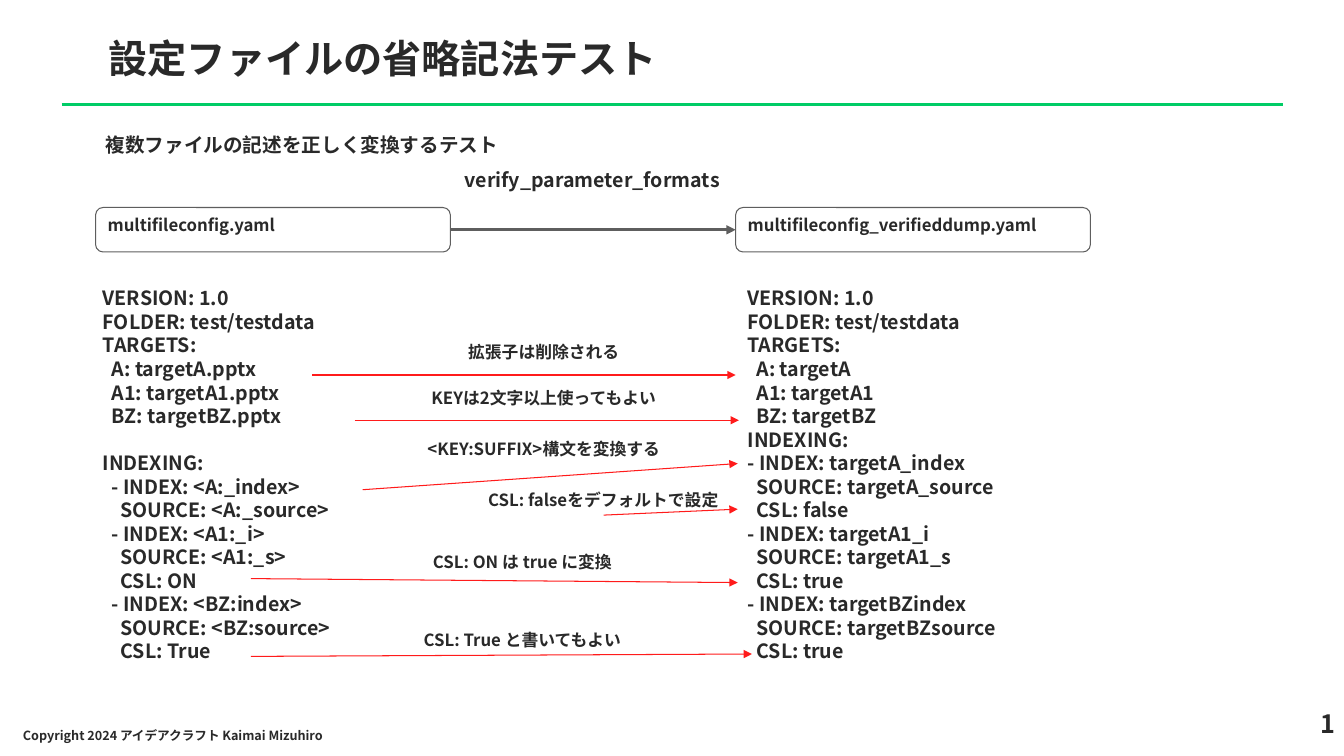
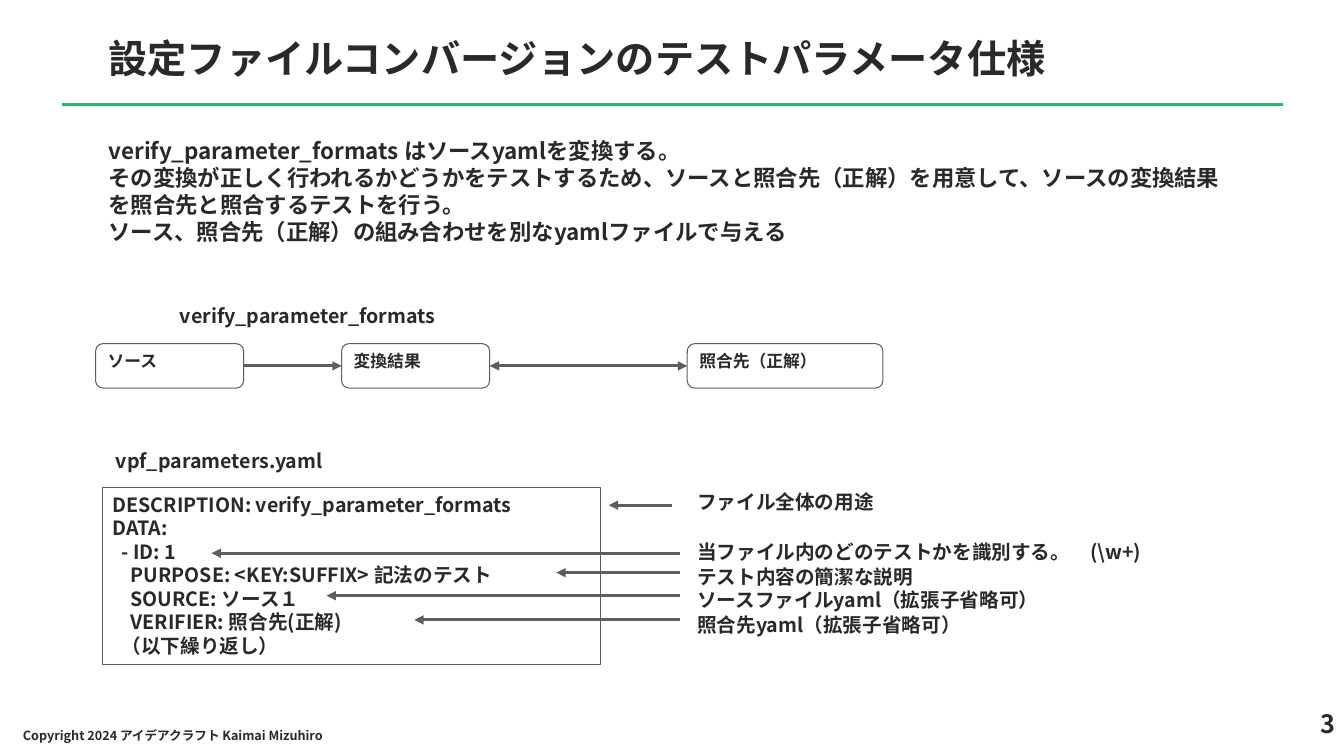
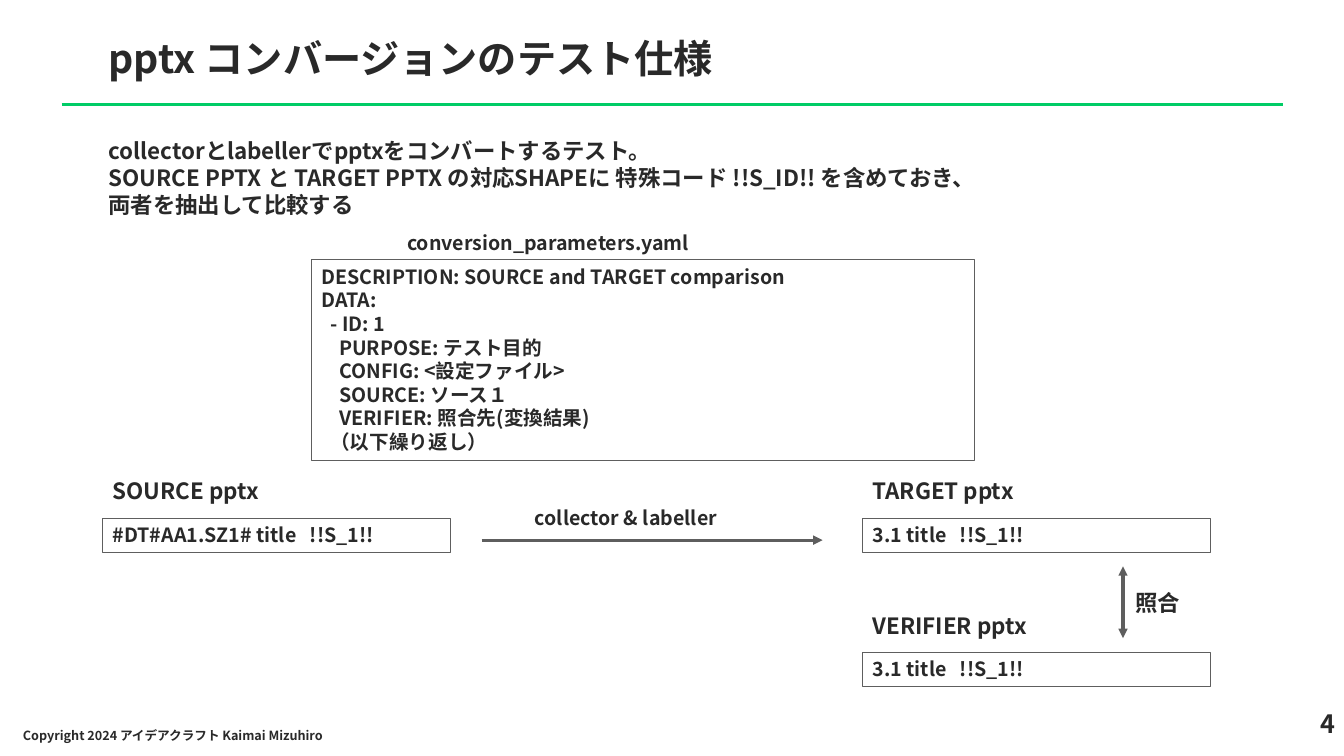
from dataclasses import dataclass

from lxml import etree
from pptx import Presentation
from pptx.dml.color import RGBColor
from pptx.enum.shapes import MSO_CONNECTOR, MSO_SHAPE
from pptx.enum.text import MSO_ANCHOR, PP_ALIGN
from pptx.oxml.ns import qn
from pptx.util import Cm, Pt

STRAIGHT = MSO_CONNECTOR.STRAIGHT
RECTANGLE = MSO_SHAPE.RECTANGLE
ROUNDED = MSO_SHAPE.ROUNDED_RECTANGLE
TOP = MSO_ANCHOR.TOP
LEFT, CENTER, RIGHT = PP_ALIGN.LEFT, PP_ALIGN.CENTER, PP_ALIGN.RIGHT
LEFT_SIDE, RIGHT_SIDE = 1, 3

FONT = "Noto Sans CJK JP"
INK, GRAY, GREEN, RED, WHITE = "292929", "5E5E5E", "00CC66", "FF1B1B", "FFFFFF"
LINE_PITCH = 1.2
THICK, THIN = 2.25, 0.75
LABEL_HEIGHT = 0.86
HEADING_HEIGHT = 0.94
FILE_HEIGHT = 1.12
COPYRIGHT = "Copyright 2024 アイデアクラフト Kaimai Mizuhiro"


@dataclass(frozen=True)
class Area:
    left: float
    top: float
    width: float
    height: float = LABEL_HEIGHT

    def lengths(self):
        return Cm(self.left), Cm(self.top), Cm(self.width), Cm(self.height)


@dataclass(frozen=True)
class Arrow:
    x1: float
    y1: float
    x2: float
    y2: float
    color: str = GRAY
    weight: float = THICK
    start_head: bool = False
    end_head: bool = True


@dataclass(frozen=True)
class Note:
    text: str
    left: float
    top: float
    arrow: Arrow


def color_of(value: str) -> RGBColor:
    return RGBColor.from_string(value)


def write(shape, text: str, size: float, align=LEFT, wrap: bool = True):
    frame = shape.text_frame
    frame.word_wrap = wrap
    frame.vertical_anchor = TOP
    gap = 0
    first = True
    for line in text.split("\n"):
        if not line:
            gap += size * LINE_PITCH
            continue
        para = frame.paragraphs[0] if first else frame.add_paragraph()
        para.text = line
        para.alignment = align
        para.line_spacing = Pt(size * LINE_PITCH)
        if gap:
            para.space_before = Pt(gap)
        font = para.font
        font.name = FONT
        font.size = Pt(size)
        font.bold = True
        font.color.rgb = color_of(INK)
        defaults = para._p.get_or_add_pPr().find(qn("a:defRPr"))
        etree.SubElement(defaults, qn("a:ea")).set("typeface", FONT)
        first = False
        gap = 0


def add_text(page, area: Area, text: str, size: float = 14, align=LEFT):
    box = page.shapes.add_textbox(*area.lengths())
    write(box, text, size, align)


def add_frame(page, area: Area, text: str, kind=RECTANGLE):
    box = page.shapes.add_shape(kind, *area.lengths())
    box.shadow.inherit = False
    box.line.color.rgb = color_of(GRAY)
    box.line.width = Pt(THIN)
    if kind == ROUNDED:
        box.fill.solid()
        box.fill.fore_color.rgb = color_of(WHITE)
        write(box, text, 12, wrap=False)
    else:
        box.fill.background()
        write(box, text, 14)
    return box


def add_arrow(page, arrow: Arrow):
    ends = (Cm(value) for value in (arrow.x1, arrow.y1, arrow.x2, arrow.y2))
    connector = page.shapes.add_connector(STRAIGHT, *ends)
    connector.line.color.rgb = color_of(arrow.color)
    connector.line.width = Pt(arrow.weight)
    outline = connector.line._get_or_add_ln()
    for tag, shown in (("a:headEnd", arrow.start_head), ("a:tailEnd", arrow.end_head)):
        if shown:
            etree.SubElement(outline, qn(tag)).set("type", "triangle")
    etree.SubElement(connector._element.spPr, qn("a:effectLst"))
    return connector


def join_boxes(page, source, target, start_head: bool = False):
    connector = add_arrow(page, Arrow(0, 0, 1, 1, start_head=start_head))
    connector.begin_connect(source, RIGHT_SIDE)
    connector.end_connect(target, LEFT_SIDE)


def add_page(deck, title: str, number: int):
    page = deck.slides.add_slide(deck.slide_layouts[6])
    add_arrow(page, Arrow(1.55, 2.64, 32.33, 2.64, GREEN, end_head=False))
    add_text(page, Area(2.49, 0.74, 30.43, 1.8), title, 28)
    add_text(page, Area(0.33, 18.21, 14.02, 0.71), COPYRIGHT, 9)
    add_text(page, Area(29.74, 17.73, 4.17, 1.27), str(number), 18, RIGHT)
    return page


SOURCE_YAML = """VERSION: 1.0
FOLDER: test/testdata
TARGETS:
  A: targetA.pptx
  A1: targetA1.pptx
  BZ: targetBZ.pptx

INDEXING:
  - INDEX: <A:_index>
    SOURCE: <A:_source>
  - INDEX: <A1:_i>
    SOURCE: <A1:_s>
    CSL: ON
  - INDEX: <BZ:index>
    SOURCE: <BZ:source>
    CSL: True"""

VERIFIED_YAML = """VERSION: 1.0
FOLDER: test/testdata
TARGETS:
  A: targetA
  A1: targetA1
  BZ: targetBZ
INDEXING:
- INDEX: targetA_index
  SOURCE: targetA_source
  CSL: false
- INDEX: targetA1_i
  SOURCE: targetA1_s
  CSL: true
- INDEX: targetBZindex
  SOURCE: targetBZsource
  CSL: true"""

FORMAT_YAML = """DESCRIPTION: verify_parameter_formats
DATA:
  - ID: 1
    PURPOSE: <KEY:SUFFIX> 記法のテスト
    SOURCE: ソース１
    VERIFIER: 照合先(正解)
  （以下繰り返し）"""

CONVERSION_YAML = """DESCRIPTION: SOURCE and TARGET comparison
DATA:
  - ID: 1
    PURPOSE: テスト目的
    CONFIG: <設定ファイル>
    SOURCE: ソース１
    VERIFIER: 照合先(変換結果)
  （以下繰り返し）"""

FORMAT_INTRO = """verify_parameter_formats はソースyamlを変換する。
その変換が正しく行われるかどうかをテストするため、ソースと照合先（正解）を用意して、ソースの変換結果を照合先と照合するテストを行う。
ソース、照合先（正解）の組み合わせを別なyamlファイルで与える"""

CONVERSION_INTRO = """collectorとlabellerでpptxをコンバートするテスト。
SOURCE PPTX と TARGET PPTX の対応SHAPEに 特殊コード !!S_ID!! を含めておき、
両者を抽出して比較する"""


def red(x1: float, y1: float, x2: float, y2: float) -> Arrow:
    return Arrow(x1, y1, x2, y2, RED, THIN)


RULE_NOTES = (
    Note("拡張子は削除される", 9.68, 8.48, red(7.87, 9.45, 18.54, 9.45)),
    Note("KEYは2文字以上使ってもよい", 9.68, 9.65, red(8.94, 10.59, 18.62, 10.59)),
    Note("<KEY:SUFFIX>構文を変換する", 9.68, 10.92, red(9.14, 12.34, 18.59, 11.68)),
    Note("CSL: falseをデフォルトで設定", 11.18, 12.22, red(15.21, 12.98, 18.59, 12.83)),
    Note("CSL: ON は true に変換", 9.14, 13.77, red(6.32, 14.58, 18.59, 14.68)),
    Note("CSL: True と書いてもよい", 9.14, 15.75, red(6.32, 16.54, 18.95, 16.48)),
)

FIELD_NOTES = (
    Note("ファイル全体の用途", 17.32, 12.22, Arrow(16.94, 12.73, 15.34, 12.73)),
    Note("当ファイル内のどのテストかを識別する。　(\\w+)", 17.32, 13.49,
         Arrow(17.15, 13.94, 5.33, 13.94)),
    Note("テスト内容の簡潔な説明", 17.32, 14.1, Arrow(17.15, 14.43, 14.02, 14.43)),
    Note("ソースファイルyaml（拡張子省略可）", 17.32, 14.68, Arrow(17.15, 15.01, 8.23, 15.01)),
    Note("照合先yaml（拡張子省略可）", 17.32, 15.32, Arrow(17.15, 15.62, 10.44, 15.62)),
)


def add_notes(page, notes: tuple[Note, ...], width: float, size: float, align):
    for note in notes:
        add_arrow(page, note.arrow)
        add_text(page, Area(note.left, note.top, width), note.text, size, align)


def build_shorthand_page(deck):
    page = add_page(deck, "設定ファイルの省略記法テスト", 1)
    add_text(page, Area(2.41, 3.23, 13.74), "複数ファイルの記述を正しく変換するテスト")
    add_text(page, Area(10.9, 4.11, 8.05), "verify_parameter_formats", align=CENTER)
    source, verified = (
        add_frame(page, Area(left, 5.23, 8.94, FILE_HEIGHT), name, ROUNDED)
        for left, name in ((2.41, "multifileconfig.yaml"),
                           (18.54, "multifileconfig_verifieddump.yaml"))
    )
    join_boxes(page, source, verified)
    add_text(page, Area(2.34, 7.09, 9.35, 10.44), SOURCE_YAML)
    add_text(page, Area(18.59, 7.09, 9.35, 9.83), VERIFIED_YAML)
    add_notes(page, RULE_NOTES, 8.05, 12, CENTER)


def build_format_page(deck):
    page = add_page(deck, "設定ファイルコンバージョンのテストパラメータ仕様", 3)
    add_text(page, Area(2.49, 3.33, 28.83, 3), FORMAT_INTRO, 16)
    add_text(page, Area(3.73, 7.54, 8.05), "verify_parameter_formats", align=CENTER)
    source, result, answer = (
        add_frame(page, Area(left, 8.66, width, FILE_HEIGHT), name, ROUNDED)
        for left, width, name in ((2.41, 3.73, "ソース"),
                                  (8.61, 3.73, "変換結果"),
                                  (17.32, 4.93, "照合先（正解）"))
    )
    join_boxes(page, source, result)
    join_boxes(page, result, answer, start_head=True)
    add_text(page, Area(2.67, 11.18, 8.05), "vpf_parameters.yaml")
    add_frame(page, Area(2.59, 12.29, 12.55, 4.45), FORMAT_YAML)
    add_notes(page, FIELD_NOTES, 13.94, 14, LEFT)


def build_conversion_page(deck):
    page = add_page(deck, "pptx コンバージョンのテスト仕様", 4)
    add_text(page, Area(2.49, 3.33, 28.83, 2.31), CONVERSION_INTRO, 16)
    add_text(page, Area(10.01, 5.69, 14.12), "conversion_parameters.yaml")
    add_frame(page, Area(7.85, 6.55, 16.71, 5.05), CONVERSION_YAML)
    for left, top, heading, content in (
        (2.59, 11.91, "SOURCE pptx", "#DT#AA1.SZ1# title   !!S_1!!"),
        (21.74, 11.91, "TARGET pptx", "3.1 title   !!S_1!!"),
        (21.74, 15.29, "VERIFIER pptx", "3.1 title   !!S_1!!"),
    ):
        add_text(page, Area(left, top, 6.6, HEADING_HEIGHT), heading, 16)
        add_frame(page, Area(left, top + 1.15, 8.76), content)
    add_arrow(page, Arrow(12.14, 13.61, 20.73, 13.61))
    add_text(page, Area(13.23, 12.62, 6.4), "collector & labeller")
    add_arrow(page, Arrow(28.3, 14.27, 28.3, 16.08, start_head=True))
    add_text(page, Area(28.37, 14.71, 2.11, HEADING_HEIGHT), "照合", 16)


def main():
    deck = Presentation()
    deck.slide_width = Cm(33.87)
    deck.slide_height = Cm(19.05)
    build_shorthand_page(deck)
    build_format_page(deck)
    build_conversion_page(deck)
    deck.save("out.pptx")


if __name__ == "__main__":
    main()
